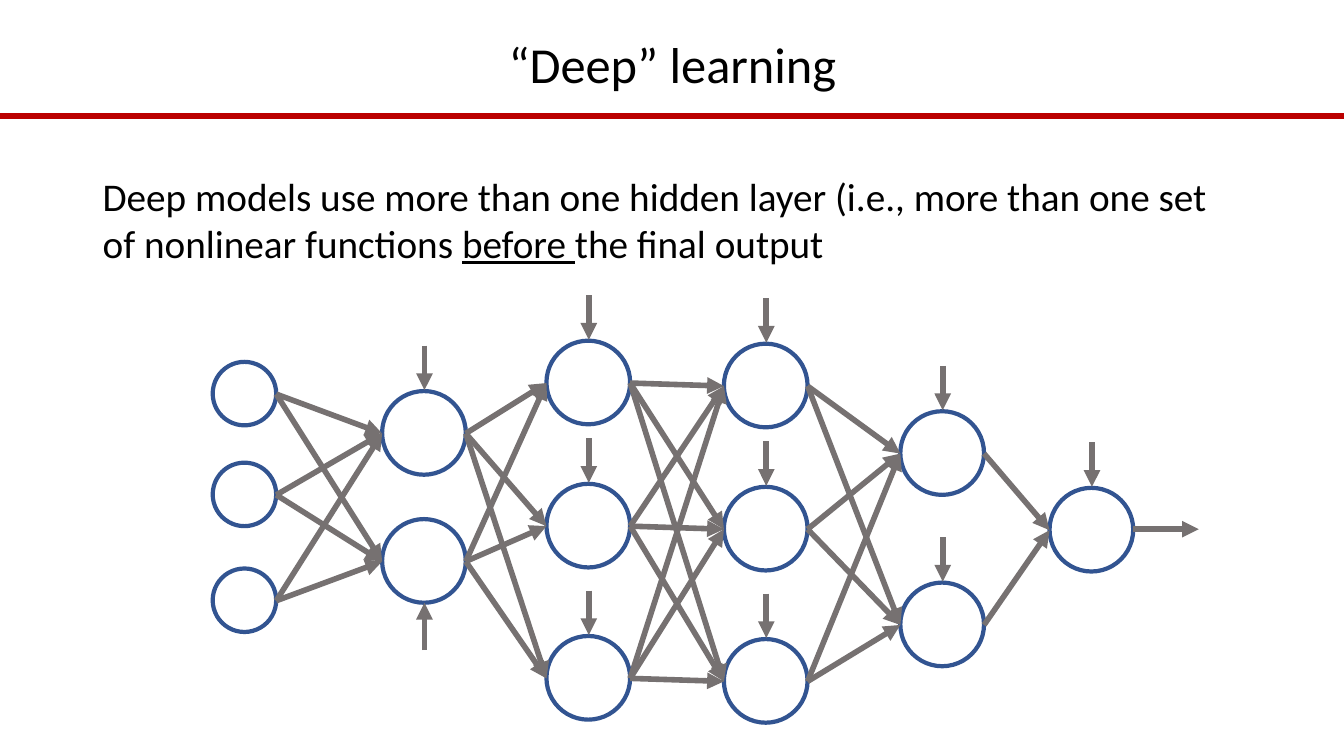
import pptx
import pptx.dml.color
import pptx.enum.shapes
import pptx.enum.text
import pptx.oxml
import pptx.util

PX = 9144  # 100 px to the inch
GREY, BLUE, RED, BLACK = "767171", "325491", "BB0000", "000000"


def rgb(value):
    return pptx.dml.color.RGBColor.from_string(value)


def add_line(x1, y1, x2, y2, color=GREY, arrow=True):
    line = page.shapes.add_connector(
        pptx.enum.shapes.MSO_CONNECTOR.STRAIGHT, x1 * PX, y1 * PX, x2 * PX, y2 * PX)
    line.line.color.rgb = rgb(color)
    line.line.width = pptx.util.Pt(4)
    properties = line._element.spPr
    if arrow:
        head = pptx.oxml.xmlchemy.OxmlElement("a:tailEnd")
        head.set("type", "triangle")
        line.line._get_or_add_ln().append(head)
    properties.append(pptx.oxml.xmlchemy.OxmlElement("a:effectLst"))


deck = pptx.Presentation()
deck.slide_width = 1333 * PX
deck.slide_height = 750 * PX
page = deck.slides.add_slide(deck.slide_layouts[6])

add_line(0, 115, 1333, 115, RED, arrow=False)

# Title and explanation: top, height, size, anchor, alignment, runs
anchors = pptx.enum.text.MSO_ANCHOR
alignments = pptx.enum.text.PP_ALIGN
texts = [
    (34, 66, 36, anchors.MIDDLE, alignments.CENTER, 0.9, [("“Deep” learning", False)]),
    (166, 122, 28, anchors.TOP, alignments.LEFT, 1.0, [
        ("Deep models use more than one hidden layer (i.e., more than one set "
         "of nonlinear functions ", False),
        ("before ", True),
        ("the final output", False)]),
]
for top, height, size, anchor, alignment, spacing, runs in texts:
    box = page.shapes.add_textbox(92 * PX, top * PX, 1150 * PX, height * PX)
    box.text_frame.word_wrap = True
    box.text_frame.vertical_anchor = anchor
    para = box.text_frame.paragraphs[0]
    para.alignment = alignment
    para.line_spacing = spacing
    para.font.name = "Calibri"
    para.font.size = pptx.util.Pt(size)
    para.font.color.rgb = rgb(BLACK)
    for words, underlined in runs:
        span = para.add_run()
        span.text = words
        if underlined:
            span.font.underline = True

# Network layers from input to output: left, diameter, tops of the neurons
layers = [
    (211, 63, [359, 459, 564]),
    (379, 83, [388, 515]),
    (542, 83, [338, 480, 631]),
    (718, 83, [341, 483, 634]),
    (893, 83, [408, 578]),
    (1041, 83, [484]),
]
BIAS_LENGTH = 45

for index, (left, diameter, tops) in enumerate(layers):
    center = left + diameter // 2 + 1
    for top in tops:
        neuron = page.shapes.add_shape(
            pptx.enum.shapes.MSO_SHAPE.OVAL,
            left * PX, top * PX, diameter * PX, diameter * PX)
        neuron.shadow.inherit = False
        neuron.fill.background()
        neuron.line.color.rgb = rgb(BLUE)
        neuron.line.width = pptx.util.Pt(3)
        if index == 1 and top == tops[-1]:  # this bias enters from below
            bottom = top + diameter
            add_line(center, bottom + BIAS_LENGTH + 2, center, bottom)
        elif index > 0:
            add_line(center, top - BIAS_LENGTH, center, top - 1)

# Every neuron feeds every neuron of the next layer
for (left, diameter, tops), (next_left, next_diameter, next_tops) in zip(layers, layers[1:]):
    for top in tops:
        for next_top in next_tops:
            add_line(left + diameter, top + diameter // 2 + 1,
                     next_left, next_top + next_diameter // 2 + 1)

left, diameter, (top,) = layers[-1]
output_y = top + diameter // 2
add_line(left + diameter, output_y, left + diameter + 65, output_y)

deck.save("out.pptx")
